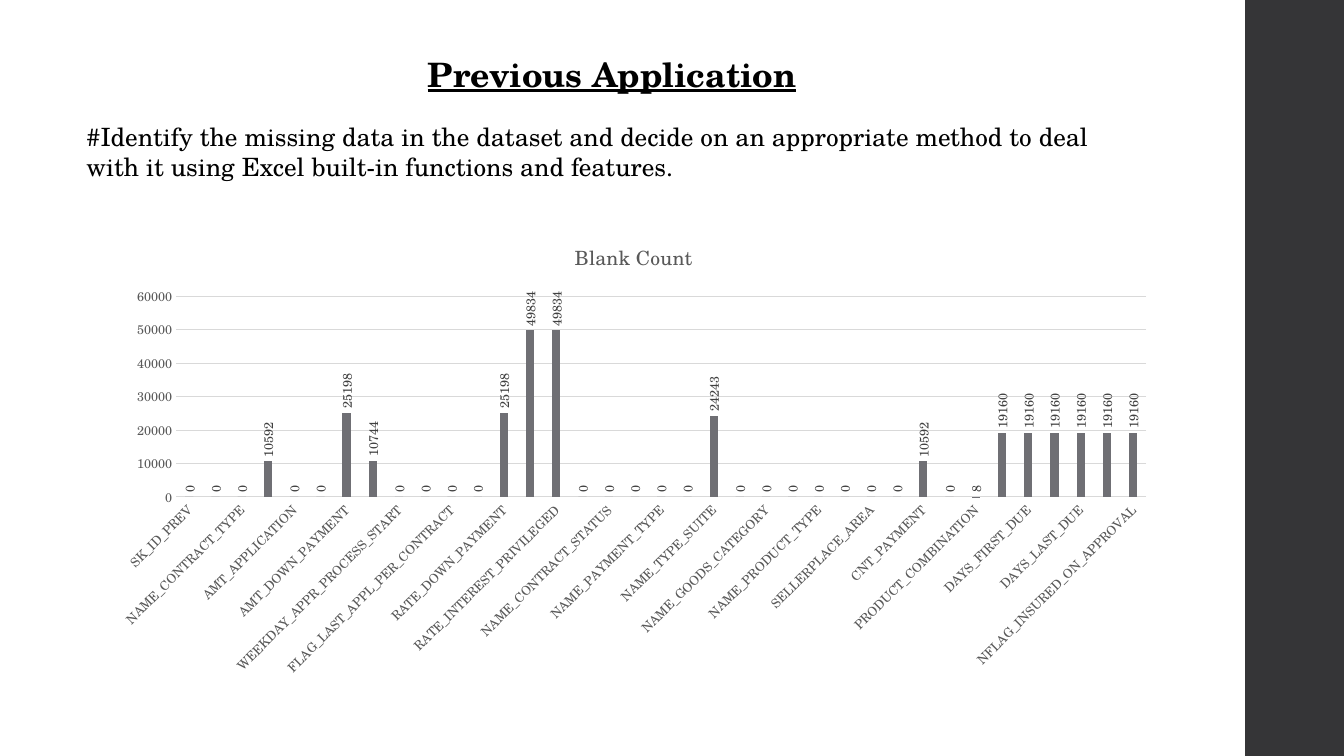
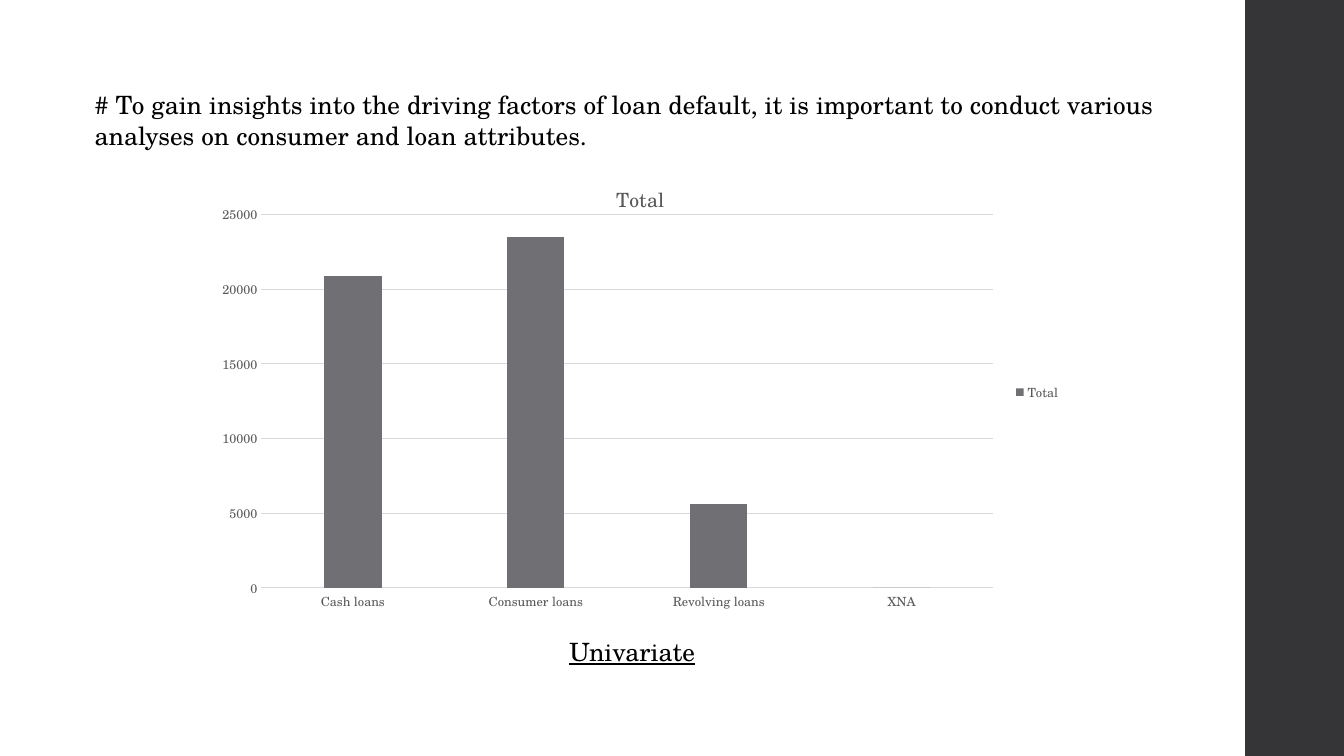
from dataclasses import dataclass

from lxml import etree
from pptx import Presentation
from pptx.chart.data import CategoryChartData
from pptx.dml.color import RGBColor
from pptx.enum.chart import XL_CHART_TYPE, XL_LABEL_POSITION, XL_LEGEND_POSITION, XL_TICK_MARK
from pptx.enum.shapes import MSO_SHAPE
from pptx.enum.text import MSO_ANCHOR, PP_ALIGN
from pptx.oxml.ns import qn
from pptx.util import Inches, Pt

COLUMNS = XL_CHART_TYPE.COLUMN_CLUSTERED
OUTSIDE_END = XL_LABEL_POSITION.OUTSIDE_END
LEGEND_RIGHT = XL_LEGEND_POSITION.RIGHT
NO_TICK = XL_TICK_MARK.NONE
RECTANGLE = MSO_SHAPE.RECTANGLE
TOP = MSO_ANCHOR.TOP
LEFT = PP_ALIGN.LEFT
TITLE_ONLY, BLANK = 5, 6
DEGREE = 60000
MASTER_BAND_ID = 20


@dataclass(frozen=True)
class Theme:
    font: str = "TeX Gyre Schola"
    ink: RGBColor = RGBColor(0, 0, 0)
    band: RGBColor = RGBColor(0x35, 0x35, 0x37)
    bar: RGBColor = RGBColor(0x6F, 0x6F, 0x74)
    muted: RGBColor = RGBColor(0x59, 0x59, 0x59)
    value: RGBColor = RGBColor(0x40, 0x40, 0x40)
    grid: RGBColor = RGBColor(0xD9, 0xD9, 0xD9)
    title_size: int = 24
    body_size: int = 18
    chart_title_size: int = 14
    chart_size: int = 10
    label_size: int = 9
    hairline: float = 0.75


THEME = Theme()

COLUMN_NAMES = [
    "SK_ID_PREV", "SK_ID_CURR", "NAME_CONTRACT_TYPE", "AMT_ANNUITY", "AMT_APPLICATION",
    "AMT_CREDIT", "AMT_DOWN_PAYMENT", "AMT_GOODS_PRICE", "WEEKDAY_APPR_PROCESS_START",
    "HOUR_APPR_PROCESS_START", "FLAG_LAST_APPL_PER_CONTRACT", "NFLAG_LAST_APPL_IN_DAY",
    "RATE_DOWN_PAYMENT", "RATE_INTEREST_PRIMARY", "RATE_INTEREST_PRIVILEGED",
    "NAME_CASH_LOAN_PURPOSE", "NAME_CONTRACT_STATUS", "DAYS_DECISION", "NAME_PAYMENT_TYPE",
    "CODE_REJECT_REASON", "NAME_TYPE_SUITE", "NAME_CLIENT_TYPE", "NAME_GOODS_CATEGORY",
    "NAME_PORTFOLIO", "NAME_PRODUCT_TYPE", "CHANNEL_TYPE", "SELLERPLACE_AREA",
    "NAME_SELLER_INDUSTRY", "CNT_PAYMENT", "NAME_YIELD_GROUP", "PRODUCT_COMBINATION",
    "DAYS_FIRST_DRAWING", "DAYS_FIRST_DUE", "DAYS_LAST_DUE_1ST_VERSION", "DAYS_LAST_DUE",
    "DAYS_TERMINATION", "NFLAG_INSURED_ON_APPROVAL",
]
BLANKS_FOUND = {
    "AMT_ANNUITY": 10592, "AMT_DOWN_PAYMENT": 25198, "AMT_GOODS_PRICE": 10744,
    "RATE_DOWN_PAYMENT": 25198, "RATE_INTEREST_PRIMARY": 49834,
    "RATE_INTEREST_PRIVILEGED": 49834, "NAME_TYPE_SUITE": 24243, "CNT_PAYMENT": 10592,
    "PRODUCT_COMBINATION": 8, "DAYS_FIRST_DRAWING": 19160, "DAYS_FIRST_DUE": 19160,
    "DAYS_LAST_DUE_1ST_VERSION": 19160, "DAYS_LAST_DUE": 19160,
    "DAYS_TERMINATION": 19160, "NFLAG_INSURED_ON_APPROVAL": 19160,
}
BLANK_COUNTS = {name: BLANKS_FOUND.get(name, 0) for name in COLUMN_NAMES}
LOAN_TOTALS = {"Cash loans": 20900, "Consumer loans": 23500, "Revolving loans": 5600, "XNA": 0}


def inches(box):
    return [Inches(length) for length in box]


def style_font(font, size, color, bold=False, underline=False):
    font.name = THEME.font
    font.size = Pt(size)
    font.color.rgb = color
    font.bold = bold
    font.underline = underline


def write(frame, text, size, **emphasis):
    frame.word_wrap = True
    frame.vertical_anchor = TOP
    frame.text = text
    paragraph = frame.paragraphs[0]
    paragraph.alignment = LEFT
    style_font(paragraph.runs[0].font, size, THEME.ink, **emphasis)


def add_title(slide, box, text):
    title = slide.shapes.title
    title.left, title.top, title.width, title.height = inches(box)
    write(title.text_frame, text, THEME.title_size, bold=True, underline=True)


def add_body(slide, box, text, **emphasis):
    body = slide.shapes.add_textbox(*inches(box))
    write(body.text_frame, text, THEME.body_size, **emphasis)


def add_master_band(prs, slide):
    """Draw the side band on the slide, then move it to the master all slides share."""
    band = slide.shapes.add_shape(RECTANGLE, *inches((12.35, 0, 1, 7.5)))
    band.shadow.inherit = False
    band.fill.solid()
    band.fill.fore_color.rgb = THEME.band
    band.line.fill.background()
    band.element.nvSpPr.cNvPr.set("id", str(MASTER_BAND_ID))
    prs.slide_master.shapes.element.append(band.element)


def style_axes(chart):
    for axis in (chart.category_axis, chart.value_axis):
        axis.major_tick_mark = axis.minor_tick_mark = NO_TICK
        style_font(axis.tick_labels.font, THEME.label_size, THEME.muted)
    chart.value_axis.format.line.fill.background()
    chart.value_axis.has_major_gridlines = True
    for line in (chart.category_axis.format.line, chart.value_axis.major_gridlines.format.line):
        line.color.rgb = THEME.grid
        line.width = Pt(THEME.hairline)


def add_column_chart(slide, box, name, values, top):
    data = CategoryChartData()
    data.categories = list(values)
    data.add_series(name, list(values.values()))
    chart = slide.shapes.add_chart(COLUMNS, *inches(box), data).chart
    style_font(chart.font, THEME.chart_size, THEME.ink)
    chart.has_legend = False
    chart.has_title = True
    heading = chart.chart_title.text_frame
    heading.text = name
    style_font(heading.paragraphs[0].runs[0].font, THEME.chart_title_size, THEME.muted)
    style_axes(chart)
    chart.value_axis.minimum_scale = 0
    chart.value_axis.maximum_scale = top
    plot = chart.plots[0]
    plot.vary_by_categories = False
    plot.gap_width = 219
    plot.overlap = -27
    fill = plot.series[0].format.fill
    fill.solid()
    fill.fore_color.rgb = THEME.bar
    return chart


def add_value_labels(chart):
    plot = chart.plots[0]
    plot.has_data_labels = True
    labels = plot.data_labels
    labels.show_value = True
    labels.position = OUTSIDE_END
    style_font(labels.font, THEME.label_size, THEME.value)


def turn_text(chart, part, degrees):
    body = chart.element.xpath(f".//c:{part}/c:txPr/a:bodyPr")[0]
    body.set("rot", str(degrees * DEGREE))
    body.set("vert", "horz")


def add_legend(chart):
    chart.has_legend = True
    chart.legend.position = LEGEND_RIGHT
    chart.legend.include_in_layout = False
    style_font(chart.legend.font, THEME.label_size, THEME.muted)


def place_plot(chart, x, y, w, h):
    """Fix the inner plot area, in fractions of the chart."""
    area = chart.element.xpath(".//c:plotArea")[0]
    for automatic in area.findall(qn("c:layout")):
        area.remove(automatic)
    layout = etree.Element(qn("c:layout"))
    manual = etree.SubElement(layout, qn("c:manualLayout"))
    settings = {"layoutTarget": "inner", "xMode": "edge", "yMode": "edge",
                "x": x, "y": y, "w": w, "h": h}
    for tag, value in settings.items():
        etree.SubElement(manual, qn(f"c:{tag}")).set("val", str(value))
    area.insert(0, layout)


def fill_missing_data_slide(slide):
    add_title(slide, (4.14, 0.48, 4.3, 0.5), "Previous Application")
    add_body(slide, (0.76, 1.15, 10.67, 0.71),
             "#Identify the missing data in the dataset and decide on an appropriate method "
             "to deal with it using Excel built-in functions and features.")
    chart = add_column_chart(slide, (0.99, 2.2, 10.59, 4.6), "Blank Count", BLANK_COUNTS, 60000)
    add_value_labels(chart)
    turn_text(chart, "dLbls", -90)
    turn_text(chart, "catAx", -45)


def fill_univariate_slide(slide):
    add_body(slide, (0.84, 0.84, 10.76, 0.71),
             "# To gain insights into the driving factors of loan default, it is important "
             "to conduct various analyses on consumer and loan attributes.")
    chart = add_column_chart(slide, (2.08, 1.63, 8.54, 4.52), "Total", LOAN_TOTALS, 25000)
    add_legend(chart)
    place_plot(chart, 0.06, 0.11, 0.85, 0.82)
    add_body(slide, (5.55, 6.26, 1.6, 0.4), "Univariate", underline=True)


def main():
    prs = Presentation()
    prs.slide_width, prs.slide_height = Inches(13.33), Inches(7.5)
    missing_data = prs.slides.add_slide(prs.slide_layouts[TITLE_ONLY])
    univariate = prs.slides.add_slide(prs.slide_layouts[BLANK])
    add_master_band(prs, missing_data)
    fill_missing_data_slide(missing_data)
    fill_univariate_slide(univariate)
    prs.save("out.pptx")


if __name__ == "__main__":
    main()
